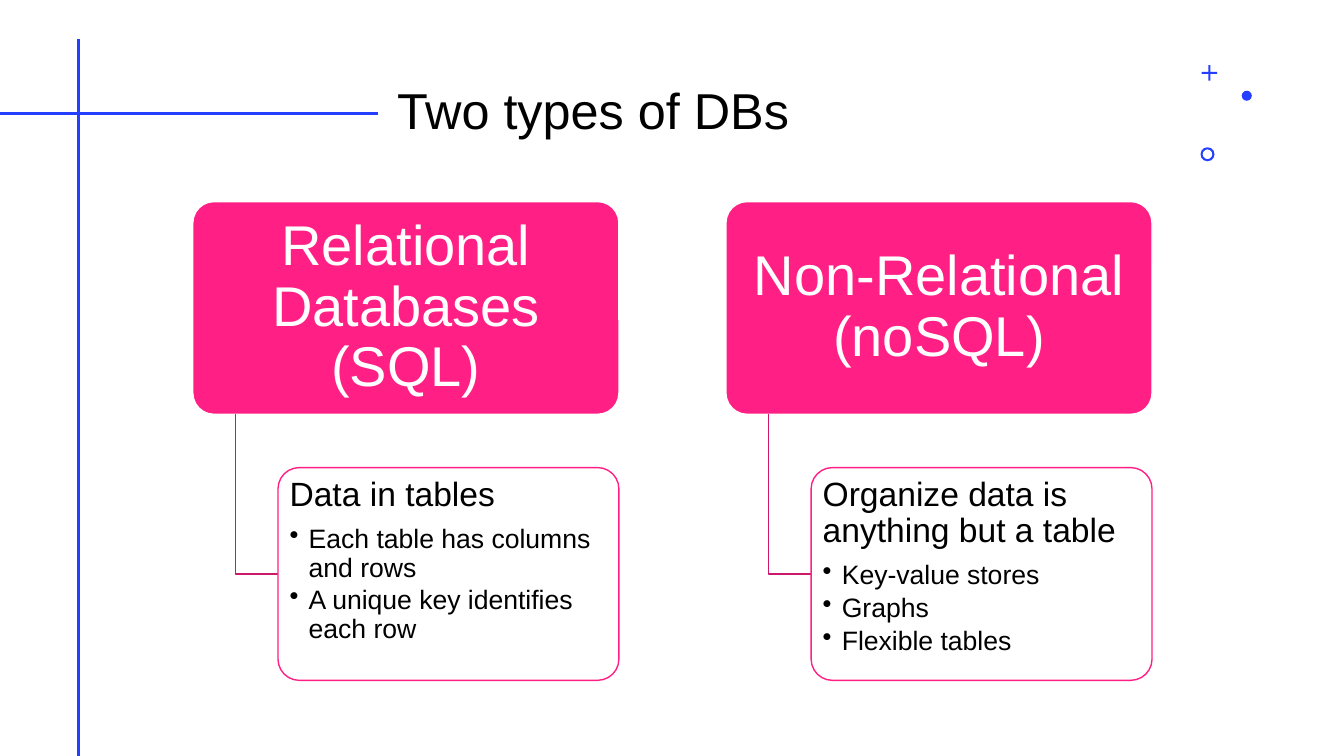
from dataclasses import dataclass

from lxml.etree import SubElement
from pptx import Presentation
from pptx.dml.color import RGBColor
from pptx.enum.shapes import MSO_CONNECTOR as Connector, MSO_SHAPE as Preset
from pptx.enum.text import MSO_ANCHOR as Anchor, MSO_AUTO_SIZE as AutoSize, PP_ALIGN as Align
from pptx.oxml.ns import qn
from pptx.util import Pt


@dataclass(frozen=True)
class Theme:
    """Colours, font and type sizes of the slide."""
    accent: RGBColor = RGBColor(0x24, 0x3F, 0xFF)
    pink: RGBColor = RGBColor(0xFF, 0x1F, 0x85)
    branch: RGBColor = RGBColor(0xCC, 0x19, 0x6B)
    white: RGBColor = RGBColor(0xFF, 0xFF, 0xFF)
    black: RGBColor = RGBColor(0, 0, 0)
    font: str = "Arial"
    title: int = 36
    heading: int = 40
    summary: int = 24
    bullet: int = 19


THEME = Theme()
CARD_LEFT, CARD_TOP, CARD_WIDTH, CARD_HEIGHT = 137.7, 144, 304.4, 152
COLUMN_PITCH = 380.8
DETAIL_TOP = 334
BULLET_INDENT = 13.7

DB_TYPES = [
    ("Relational Databases (SQL)", "Data in tables",
     ["Each table has columns and rows", "A unique key identifies each row"]),
    ("Non-Relational (noSQL)", "Organize data is anything but a table",
     ["Key-value stores", "Graphs", "Flexible tables"]),
]

ORNAMENTS = [
    (Preset.CROSS, 858.4, 46.6, 11, 0.43),
    (Preset.OVAL, 887, 64.8, 7.2, None),
    (Preset.DONUT, 857.5, 105.2, 10, 0.15),
]


def apply(target, values):
    """Set each named value as an attribute of the target."""
    for name, value in values.items():
        setattr(target, name, value)


def write(paragraph, text, size, color, after=0, align=Align.LEFT):
    """Fill a paragraph with text in the slide's font."""
    paragraph.text = text
    apply(paragraph, {"alignment": align, "line_spacing": 0.9,
                      "space_before": Pt(0), "space_after": Pt(after)})
    apply(paragraph.font, {"name": THEME.font, "size": Pt(size)})
    paragraph.font.color.rgb = color


def add_bullet(paragraph):
    """Give a paragraph a hanging round bullet."""
    paragraph.level = 1
    properties = paragraph._p.get_or_add_pPr()
    properties.set("marL", str(Pt(BULLET_INDENT)))
    properties.set("indent", str(-Pt(BULLET_INDENT)))
    SubElement(properties, qn("a:buChar")).set("char", "•")


def add_rule(slide, start, end):
    """Draw a straight accent line."""
    rule = slide.shapes.add_connector(Connector.STRAIGHT, *map(Pt, start + end))
    rule.line.color.rgb = THEME.accent
    rule.line.width = Pt(2)
    SubElement(rule._element.spPr, qn("a:effectLst"))


def add_ornament(slide, preset, left, top, size, adjustment):
    """Draw a small accent mark."""
    mark = slide.shapes.add_shape(preset, *map(Pt, (left, top, size, size)))
    mark.shadow.inherit = False
    mark.fill.solid()
    mark.fill.fore_color.rgb = THEME.accent
    mark.line.fill.background()
    if adjustment is not None:
        mark.adjustments[0] = adjustment


def add_card(slide, left, top, width, fill, outline, anchor, inset):
    """Add a rounded card and return it."""
    card = slide.shapes.add_shape(
        Preset.ROUNDED_RECTANGLE, *map(Pt, (left, top, width, CARD_HEIGHT)))
    card.adjustments[0] = 0.1
    card.shadow.inherit = False
    card.fill.solid()
    card.fill.fore_color.rgb = fill
    card.line.color.rgb = outline
    card.line.width = Pt(1)
    side, end = map(Pt, inset)
    apply(card.text_frame, {
        "word_wrap": True, "vertical_anchor": anchor,
        "margin_left": side, "margin_right": side,
        "margin_top": end, "margin_bottom": end})
    return card


def add_branch(slide, x, detail_left):
    """Draw the elbow from a heading card to its detail card."""
    middle = DETAIL_TOP + CARD_HEIGHT / 2
    builder = slide.shapes.build_freeform(Pt(x), Pt(CARD_TOP + CARD_HEIGHT))
    builder.add_line_segments(
        [(Pt(x), Pt(middle)), (Pt(detail_left), Pt(middle))], close=False)
    elbow = builder.convert_to_shape()
    elbow.shadow.inherit = False
    elbow.fill.background()
    elbow.line.color.rgb = THEME.branch
    elbow.line.width = Pt(1)


def add_db_type(slide, left, heading, summary, bullets):
    """Add one column: heading card, elbow and detail card."""
    header = add_card(slide, left, CARD_TOP, CARD_WIDTH, THEME.pink, THEME.white,
                      Anchor.MIDDLE, (6, 4))
    write(header.text_frame.paragraphs[0], heading, THEME.heading, THEME.white,
          align=Align.CENTER)

    detail_left = left + 0.2 * CARD_WIDTH
    add_branch(slide, left + 0.1 * CARD_WIDTH, detail_left)
    detail = add_card(slide, detail_left, DETAIL_TOP, 0.8 * CARD_WIDTH, THEME.white,
                      THEME.pink, Anchor.TOP, (3.8, 2.5))
    color = detail.fill._xPr.find(qn("a:solidFill"))[0]
    SubElement(color, qn("a:alpha")).set("val", "90000")
    write(detail.text_frame.paragraphs[0], summary, THEME.summary, THEME.black, after=8.4)
    for bullet in bullets:
        item = detail.text_frame.add_paragraph()
        add_bullet(item)
        write(item, bullet, THEME.bullet, THEME.black, after=2.85)


def add_title(slide, text):
    """Place and format the title placeholder."""
    title = slide.shapes.title
    apply(title, {"left": Pt(276.5), "top": Pt(28.8),
                  "width": Pt(563.8), "height": Pt(104.4)})
    apply(title.text_frame, {"word_wrap": True, "auto_size": AutoSize.NONE,
                             "vertical_anchor": Anchor.MIDDLE})
    write(title.text_frame.paragraphs[0], text, THEME.title, THEME.black)


def main():
    """Build the slide and save it."""
    deck = Presentation()
    apply(deck, {"slide_width": Pt(960), "slide_height": Pt(540)})
    slide = deck.slides.add_slide(deck.slide_layouts[5])
    add_title(slide, "Two types of DBs")
    add_rule(slide, (56.2, 28), (56.2, 540))
    add_rule(slide, (0, 81), (270, 81))
    for ornament in ORNAMENTS:
        add_ornament(slide, *ornament)
    for column, db_type in enumerate(DB_TYPES):
        add_db_type(slide, CARD_LEFT + column * COLUMN_PITCH, *db_type)
    deck.save("out.pptx")


if __name__ == "__main__":
    main()
